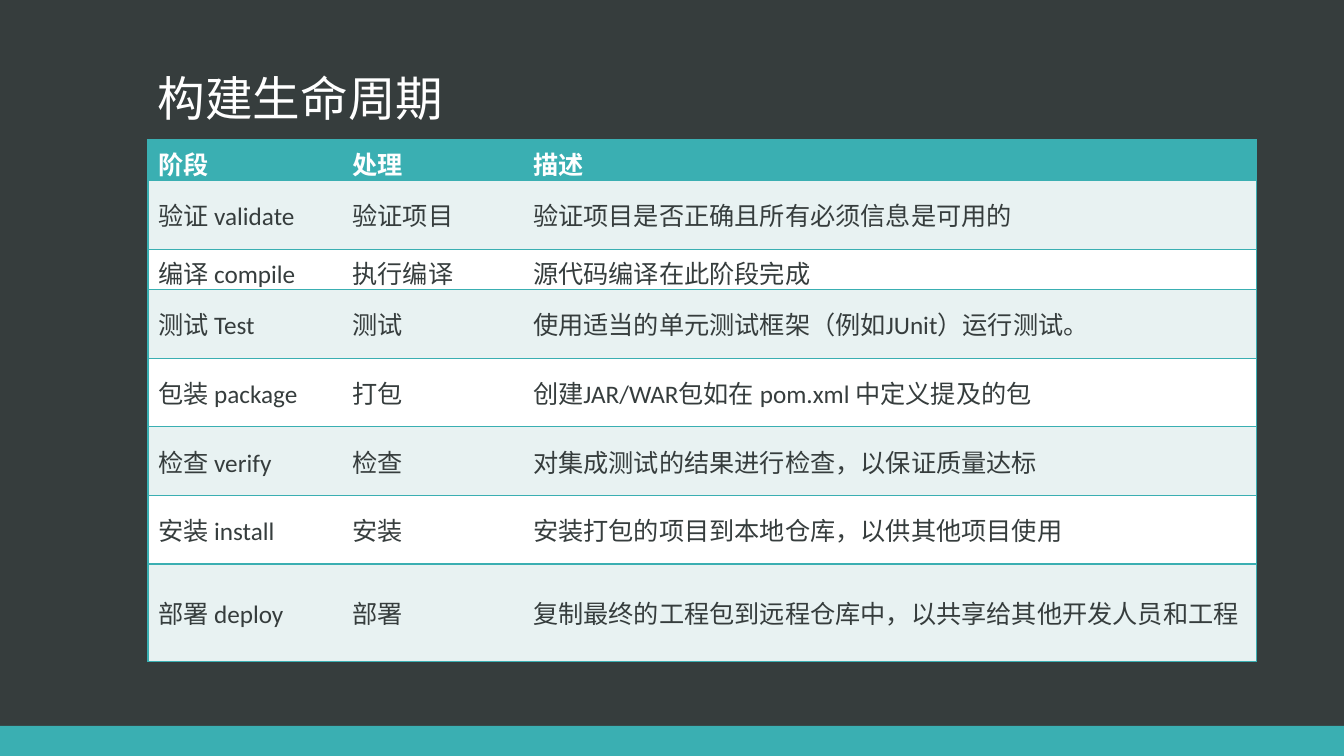
from lxml.etree import SubElement
from pptx import Presentation
from pptx.dml.color import RGBColor
from pptx.enum.shapes import MSO_SHAPE
from pptx.enum.text import MSO_ANCHOR
from pptx.oxml.ns import qn
from pptx.util import Cm, Pt

COLORS = {
    "background": "363D3D",
    "accent": "3AAFB2",
    "band": "E8F2F2",
    "white": "FFFFFF",
}
FONTS = {"latin": "Calibri", "east_asian": "Noto Sans CJK SC"}
FORMATS = {
    "title": {"size": Pt(34), "bold": False, "name": FONTS["east_asian"]},
    "header": {"size": Pt(18), "bold": True, "name": FONTS["latin"]},
    "body": {"size": Pt(18), "bold": False, "name": FONTS["latin"]},
}
COLUMN_WIDTHS = [4.9, 4.55, 18.49]
ROW_HEIGHTS = [0.99, 1.73, 0.99, 1.73, 1.73, 1.73, 1.73, 2.46]
PHASES = [
    ("阶段", "处理", "描述"),
    ("验证 validate", "验证项目", "验证项目是否正确且所有必须信息是可用的"),
    ("编译 compile", "执行编译", "源代码编译在此阶段完成"),
    ("测试 Test", "测试", "使用适当的单元测试框架（例如JUnit）运行测试。"),
    ("包装 package", "打包", "创建JAR/WAR包如在 pom.xml 中定义提及的包"),
    ("检查 verify", "检查", "对集成测试的结果进行检查，以保证质量达标"),
    ("安装 install", "安装", "安装打包的项目到本地仓库，以供其他项目使用"),
    ("部署 deploy", "部署", "复制最终的工程包到远程仓库中，以共享给其他开发人员和工程"),
]


def color(name):
    return RGBColor.from_string(COLORS[name])


def write(para, text, style, color_name):
    span = para.add_run()
    span.text = text
    for attribute, value in FORMATS[style].items():
        setattr(span.font, attribute, value)
    span.font.color.rgb = color(color_name)
    properties = span.font._element
    SubElement(properties, qn("a:ea"), typeface=FONTS["east_asian"])


def add_border(cell, side, visible):
    properties = cell._tc.get_or_add_tcPr()
    line = SubElement(properties, qn(f"a:ln{side}"), w=str(Pt(1)))
    if visible:
        fill = SubElement(line, qn("a:solidFill"))
        SubElement(fill, qn("a:srgbClr"), val=COLORS["accent"])
    else:
        SubElement(line, qn("a:noFill"))


def add_footer_band(page, left, top, width, height):
    band = page.shapes.add_shape(MSO_SHAPE.RECTANGLE, left, top, width, height)
    band.shadow.inherit = False
    band.fill.solid()
    band.fill.fore_color.rgb = color("accent")
    band.line.fill.background()


def add_title(page, left, top, width, height):
    box = page.shapes.add_textbox(left, top, width, height)
    frame = box.text_frame
    frame.word_wrap = True
    frame.vertical_anchor = MSO_ANCHOR.BOTTOM
    para = frame.paragraphs[0]
    para.line_spacing = 0.9
    write(para, "构建生命周期", "title", "white")


def add_phase_table(page, left, top, width, height):
    table = page.shapes.add_table(
        len(PHASES), len(COLUMN_WIDTHS), left, top, width, height
    ).table
    for column, column_width in zip(table.columns, COLUMN_WIDTHS):
        column.width = Cm(column_width)
    last = len(COLUMN_WIDTHS) - 1
    for row_index, (row, texts) in enumerate(zip(table.rows, PHASES)):
        row.height = Cm(ROW_HEIGHTS[row_index])
        if row_index == 0:
            style, text_color, fill_color = "header", "white", "accent"
        else:
            style, text_color = "body", "background"
            fill_color = "band" if row_index % 2 else "white"
        for column_index, (cell, text) in enumerate(zip(row.cells, texts)):
            add_border(cell, "L", column_index == 0)
            add_border(cell, "R", column_index == last)
            add_border(cell, "T", True)
            add_border(cell, "B", True)
            cell.fill.solid()
            cell.fill.fore_color.rgb = color(fill_color)
            cell.vertical_anchor = MSO_ANCHOR.MIDDLE
            write(cell.text_frame.paragraphs[0], text, style, text_color)


def add_lifecycle_page(deck):
    page = deck.slides.add_slide(deck.slide_layouts[6])
    page.background.fill.solid()
    page.background.fill.fore_color.rgb = color("background")
    band_height = Cm(0.76)
    add_footer_band(
        page, 0, deck.slide_height - band_height, deck.slide_width, band_height
    )
    margin = Cm(3.73)
    add_title(page, margin, Cm(1.3), Cm(26.42), Cm(2.03))
    add_phase_table(
        page, margin, Cm(3.53), Cm(sum(COLUMN_WIDTHS)), Cm(sum(ROW_HEIGHTS))
    )


def main():
    deck = Presentation()
    deck.slide_width = Cm(33.87)
    deck.slide_height = Cm(19.05)
    add_lifecycle_page(deck)
    deck.save("out.pptx")


if __name__ == "__main__":
    main()
